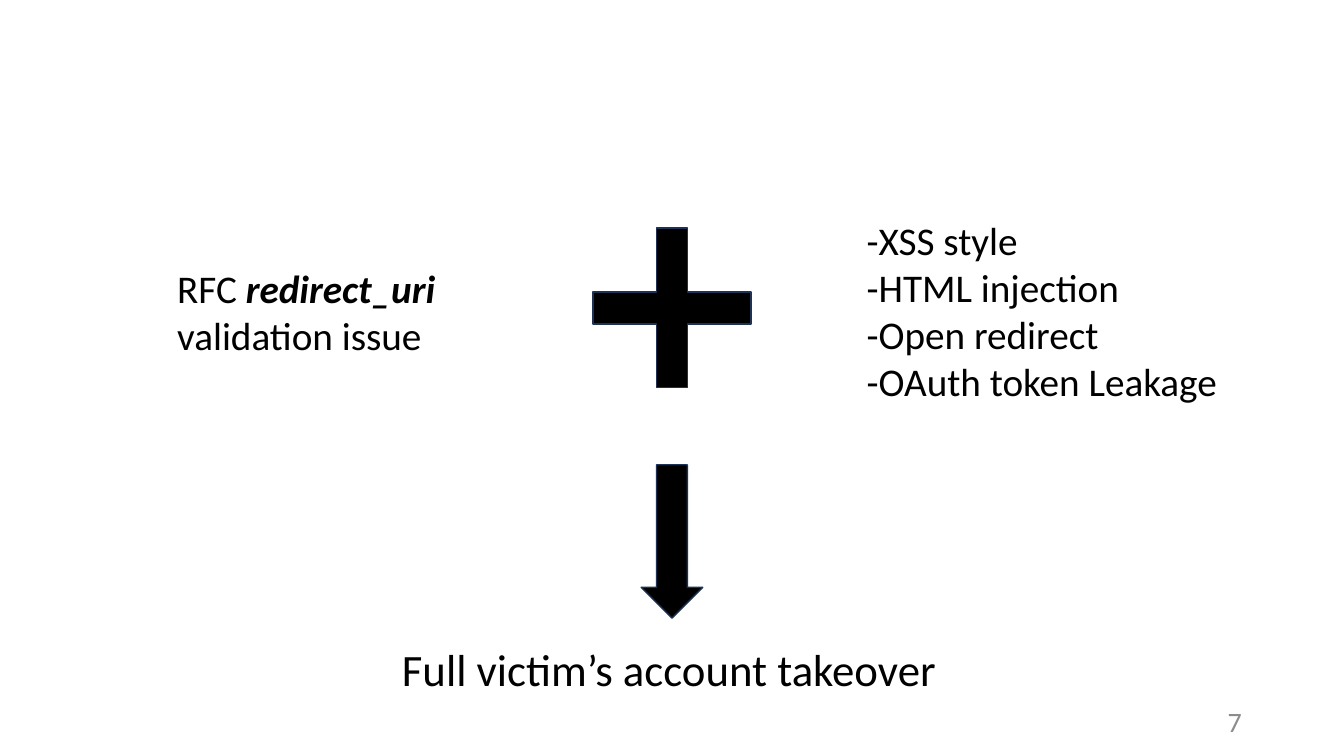
from pptx import Presentation
from pptx.dml.color import RGBColor
from pptx.enum.shapes import MSO_SHAPE
from pptx.enum.text import MSO_ANCHOR, PP_ALIGN
from pptx.util import Pt

PLUS = MSO_SHAPE.CROSS
DOWN_ARROW = MSO_SHAPE.DOWN_ARROW
MIDDLE = MSO_ANCHOR.MIDDLE
RIGHT = PP_ALIGN.RIGHT

FONT = "Calibri"
COLORS = {"ink": "000000", "outline": "1E3256", "number": "8C8C8C"}
BLANK_LAYOUT = 6


def add_text(slide, box, paragraphs, size, color="ink", wrap=True):
    """Add a text box; each paragraph is a list of (text, emphasised) runs."""
    shape = slide.shapes.add_textbox(*map(Pt, box))
    frame = shape.text_frame
    frame.word_wrap = wrap
    for index, runs in enumerate(paragraphs):
        paragraph = frame.add_paragraph() if index else frame.paragraphs[0]
        for text, emphasised in runs:
            run = paragraph.add_run()
            run.text = text
            run.font.name = FONT
            run.font.size = Pt(size)
            run.font.bold = run.font.italic = emphasised
            run.font.color.rgb = RGBColor.from_string(COLORS[color])
    return shape


def add_symbol(slide, kind, box):
    shape = slide.shapes.add_shape(kind, *map(Pt, box))
    shape.shadow.inherit = False
    shape.fill.solid()
    shape.fill.fore_color.rgb = RGBColor.from_string(COLORS["ink"])
    shape.line.color.rgb = RGBColor.from_string(COLORS["outline"])
    shape.line.width = Pt(1)
    return shape


def add_causes(slide, left, top):
    """Place the validation issue, the plus sign and the list of weaknesses."""
    issue = [("RFC ", False), ("redirect_uri ", True), ("validation issue", False)]
    weaknesses = ["-XSS style", "-HTML injection", "-Open redirect", "-OAuth token Leakage"]
    add_text(slide, (left, top + 34, 304, 75), [issue], 28)
    plus = add_symbol(slide, PLUS, (left + 304, top + 12, 113, 114))
    plus.adjustments[0] = 0.403
    add_text(slide, (left + 492.5, top, 304, 143),
             [[(weakness, False)] for weakness in weaknesses], 28)


def add_outcome(slide, left, top):
    """Place the down arrow and the result below it."""
    add_symbol(slide, DOWN_ARROW, (left + 178, top, 44, 109.5))
    add_text(slide, (left, top + 122.5, 400, 46),
             [[("Full victim’s account takeover", False)]], 32, wrap=False)


def add_slide_number(slide, box, number):
    shape = add_text(slide, box, [[(number, False)]], 20, "number")
    shape.text_frame.vertical_anchor = MIDDLE
    shape.text_frame.paragraphs[0].alignment = RIGHT


def main():
    presentation = Presentation()
    presentation.slide_width = Pt(960)
    presentation.slide_height = Pt(540)
    slide = presentation.slides.add_slide(presentation.slide_layouts[BLANK_LAYOUT])
    add_causes(slide, 119.5, 151)
    add_outcome(slide, 280, 332)
    add_slide_number(slide, (859, 500.5, 35, 29), "7")
    presentation.save("out.pptx")


if __name__ == "__main__":
    main()
